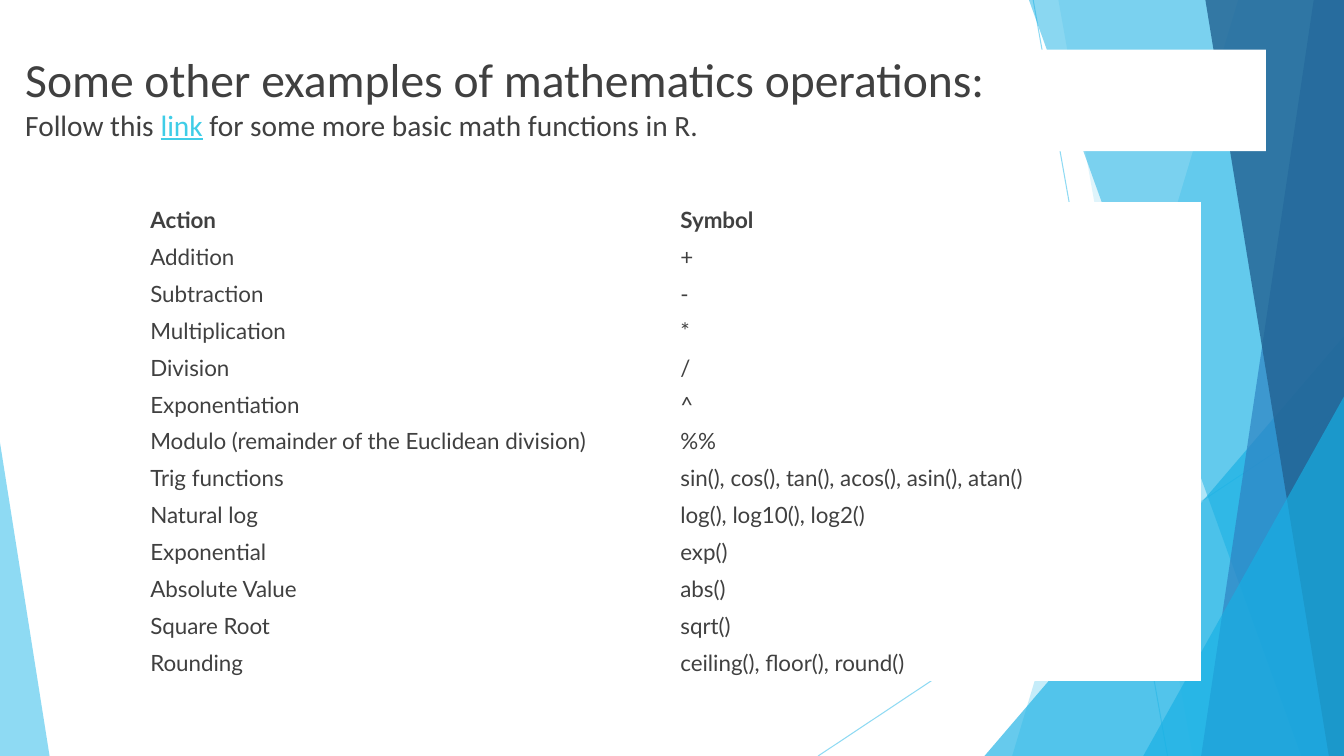
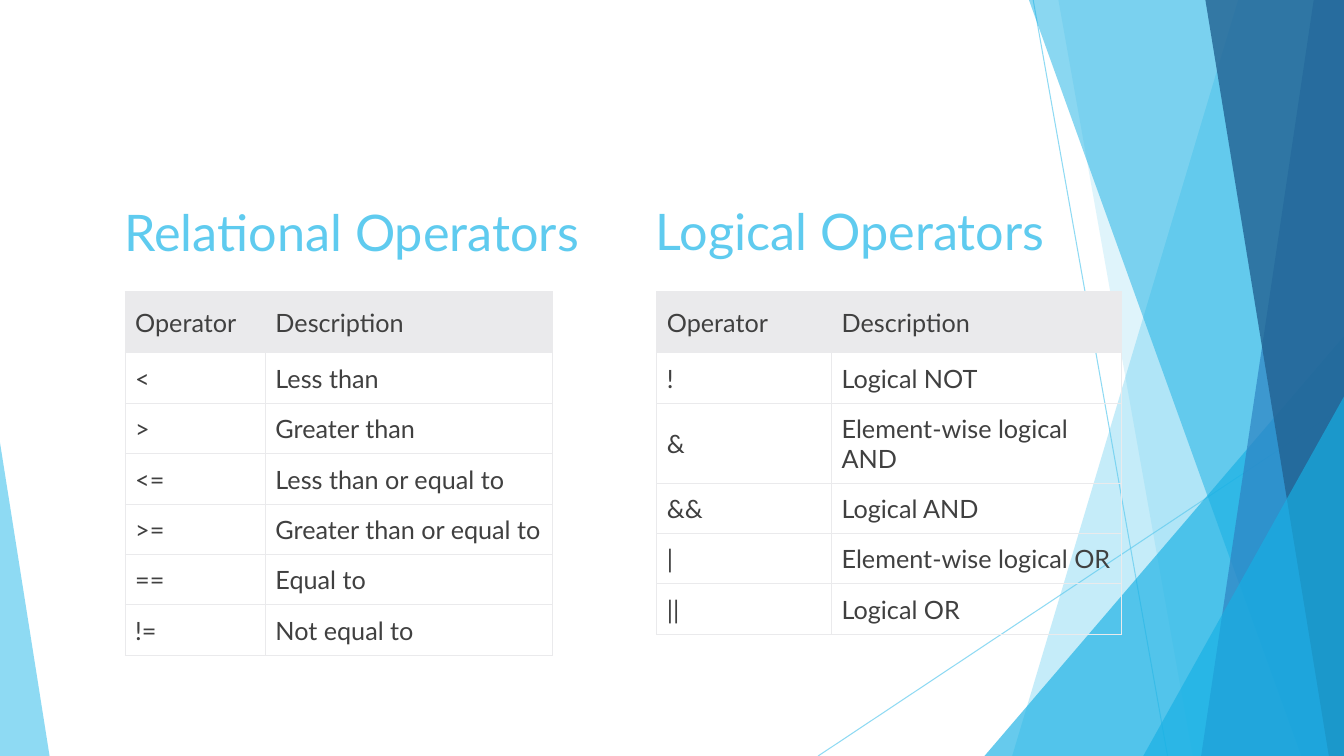
from pptx import Presentation
from pptx.dml.color import RGBColor
from pptx.enum.shapes import MSO_CONNECTOR as Conn, MSO_SHAPE as Form
from pptx.enum.text import MSO_ANCHOR as Anchor, MSO_AUTO_SIZE as Auto, PP_ALIGN as Align
from pptx.oxml.ns import qn
from pptx.util import Pt
from lxml.etree import SubElement as Sub, Element

COLS, ROWS, UNIT = 160, 90, 76200
SKY, AQUA, BLUE, NAVY = "5FCBEF", "17B0E4", "2E83C3", "226292"
INK, MIST, WHITE, CYAN = "404040", "EAEAEC", "FFFFFF", "3FCDE7"
PLAIN = "{2D5ABB26-0587-4C30-8999-92F81FD0307C}"


def hue(code):
    return RGBColor.from_string(code)


def grid(*vals):
    return [round(val * UNIT) for val in vals]


def fit(item, form):
    for key, val in form.items():
        setattr(item, key, val)


def pads(left, top, right, low):
    names = ("margin_left", "margin_top", "margin_right", "margin_bottom")
    return dict(zip(names, grid(left, top, right, low)))


HEAD = {"name": "Lato", "size": Pt(36)}
LEAD = {"name": "Calibri", "size": Pt(34)}
NOTE = {"name": "Calibri", "size": Pt(21)}
CELL = {"name": "Lato", "size": Pt(16)}
BIG = {"name": "Lato", "size": Pt(18)}
BASE = {"word_wrap": True, "auto_size": Auto.NONE}
PADS = pads(1.2, 0.6, 1.2, 0.6)


class Deck:
    def __init__(self):
        self.prs = Presentation()
        fit(self.prs, {"slide_width": COLS * UNIT, "slide_height": ROWS * UNIT})
        self.plan = self.prs.slide_layouts[5]
        for hold in list(self.plan.placeholders)[1:]:
            hold.element.getparent().remove(hold.element)

    def page(self):
        self.slide = self.prs.slides.add_slide(self.plan)
        self.shapes = self.slide.shapes

    def fade(self, shape, alpha):
        for tint in shape.element.iter(qn("a:srgbClr")):
            Sub(tint, qn("a:alpha"), val=str(alpha * 1000))

    def tint(self, shape, code, alpha):
        shape.shadow.inherit = False
        shape.fill.solid()
        shape.fill.fore_color.rgb = hue(code)
        shape.line.fill.background()
        self.fade(shape, alpha)

    def ray(self, *ends):
        line = self.shapes.add_connector(Conn.STRAIGHT, *grid(*ends))
        line.line.width = Pt(0.75)
        line.line.color.rgb = hue(SKY)
        Sub(line.element.spPr, qn("a:effectLst"))
        self.fade(line, 70)

    def band(self, top, low, code, alpha):
        form = self.shapes.build_freeform(*grid(top, 0))
        form.add_line_segments([grid(*dot) for dot in ((COLS, 0), (COLS, ROWS), (low, ROWS))])
        self.tint(form.convert_to_shape(), code, alpha)

    def wedge(self, left, top, wide, tip, code, alpha):
        box = grid(left, top, wide, ROWS - top)
        shape = self.shapes.add_shape(Form.ISOSCELES_TRIANGLE, *box)
        shape.adjustments[0] = tip
        self.tint(shape, code, alpha)

    def share(self):
        for shape in list(self.shapes):
            if not shape.is_placeholder:
                self.plan.shapes.element.append(shape.element)

    def put(self, frame, paras, form, gap=1):
        fit(frame, form)
        for num, runs in enumerate(paras):
            para = frame.add_paragraph() if num else frame.paragraphs[0]
            fit(para, {"alignment": Align.LEFT, "line_spacing": gap})
            for text, font, code in runs:
                run = para.add_run()
                run.text = text
                fit(run.font, font)
                run.font.color.rgb = hue(code)

    def title(self, box, paras, form, fill=None):
        shape = self.shapes.title
        fit(shape, dict(zip(("left", "top", "width", "height"), grid(*box))))
        if fill:
            shape.fill.solid()
            shape.fill.fore_color.rgb = hue(fill)
        self.put(shape.text_frame, paras, BASE | form)

    def label(self, box, paras, form, gap):
        shape = self.shapes.add_textbox(*grid(*box))
        self.put(shape.text_frame, paras, BASE | form, gap)

    def edge(self, cell, code):
        props = cell._tc.get_or_add_tcPr()
        for spot, side in enumerate(("lnL", "lnR", "lnT", "lnB")):
            line = Element(qn("a:" + side), w=str(Pt(0.75)))
            Sub(Sub(line, qn("a:solidFill")), qn("a:srgbClr"), val=code)
            props.insert(spot, line)

    def table(self, left, top, cols, highs, data, looks, edge=None):
        size = grid(left, top, sum(cols), highs[0] + highs[1] * (len(data) - 1))
        table = self.shapes.add_table(len(data), len(cols), *size).table
        fit(table, {"first_row": False, "horz_banding": False})
        table._tbl.tblPr.find(qn("a:tableStyleId")).text = PLAIN
        for col, wide in zip(table.columns, grid(*cols)):
            col.width = wide
        for num, words in enumerate(data):
            kind = min(num, 1)
            font, fill, room = looks[kind]
            table.rows[num].height = grid(highs[kind])[0]
            for cell, word in zip(table.rows[num].cells, words):
                fit(cell, room | {"vertical_anchor": Anchor.MIDDLE})
                self.put(cell.text_frame, [[(word, font, INK)]], {})
                if fill:
                    cell.fill.solid()
                    cell.fill.fore_color.rgb = hue(fill)
                else:
                    cell.fill.background()
                if edge:
                    self.edge(cell, edge)


MATH = [
    ("Action", "Symbol"),
    ("Addition", "+"),
    ("Subtraction", "-"),
    ("Multiplication", "*"),
    ("Division", "/"),
    ("Exponentiation", "^"),
    ("Modulo (remainder of the Euclidean division)", "%%"),
    ("Trig functions", "sin(), cos(), tan(), acos(), asin(), atan()"),
    ("Natural log", "log(), log10(), log2()"),
    ("Exponential", "exp()"),
    ("Absolute Value", "abs()"),
    ("Square Root", "sqrt()"),
    ("Rounding", "ceiling(), floor(), round()"),
]
TOP = ("Operator", "Description")
RELATE = [
    TOP,
    ("<", "Less than"),
    (">", "Greater than"),
    ("<=", "Less than or equal to"),
    (">=", "Greater than or equal to"),
    ("==", "Equal to"),
    ("!=", "Not equal to"),
]
LOGIC = [
    TOP,
    ("!", "Logical NOT"),
    ("&", "Element-wise logical AND"),
    ("&&", "Logical AND"),
    ("|", "Element-wise logical OR"),
    ("||", "Logical OR"),
]


def scene(deck):
    deck.ray(123, 0, 139, ROWS)
    deck.ray(COLS, 48.4, 97.4, ROWS)
    deck.band(147.4, 120.5, SKY, 36)
    deck.band(126, 142, SKY, 20)
    deck.wedge(117.2, 40, 42.8, 1, AQUA, 66)
    deck.band(122.5, 154.9, AQUA, 50)
    deck.band(156.4, 143, BLUE, 70)
    deck.band(143.5, 158.2, NAVY, 80)
    deck.wedge(136.1, 47.2, 23.9, 1, AQUA, 66)
    deck.wedge(0, 52.7, 5.9, 0, SKY, 70)
    deck.share()


def maths(deck):
    room = pads(1.1, 0.6, 1.1, 0.6)
    looks = [(CELL | {"bold": True}, WHITE, room), (CELL, WHITE, room)]
    deck.table(16.8, 24, (63.1, 63.1), (4.39, 4.39), MATH, looks)
    lines = [
        [("Some other examples of mathematics operations:", LEAD, INK)],
        [
            ("Follow this ", NOTE, INK),
            ("link", NOTE | {"underline": True}, CYAN),
            (" for some more basic math functions in R.", NOTE, INK),
        ],
    ]
    form = pads(0, 0, 10, 1.1) | {"vertical_anchor": Anchor.MIDDLE}
    deck.title((3, 5.9, 147.7, 12.1), lines, form, WHITE)


def signs(deck):
    looks = [(BIG, MIST, pads(1.2, 1.9, 1, 1.8)), (BIG, None, pads(1.2, 1.2, 1, 1.1))]
    deck.title((13.6, 23.3, 66.5, 17.4), [[("Relational Operators", HEAD, SKY)]],
               PADS | {"vertical_anchor": Anchor.TOP})
    deck.table(14.9, 34.7, (16.7, 34.2), (7.3, 6), RELATE, looks, MIST)
    deck.label((76.9, 19.2, 66.5, 17.4), [[("Logical Operators", HEAD, SKY)]],
               PADS | {"vertical_anchor": Anchor.MIDDLE}, 0.9)
    deck.table(78.2, 34.7, (20.8, 34.5), (7.3, 6), LOGIC, looks, MIST)


def main():
    deck = Deck()
    deck.page()
    scene(deck)
    maths(deck)
    deck.page()
    signs(deck)
    deck.prs.save("out.pptx")


if __name__ == "__main__":
    main()
